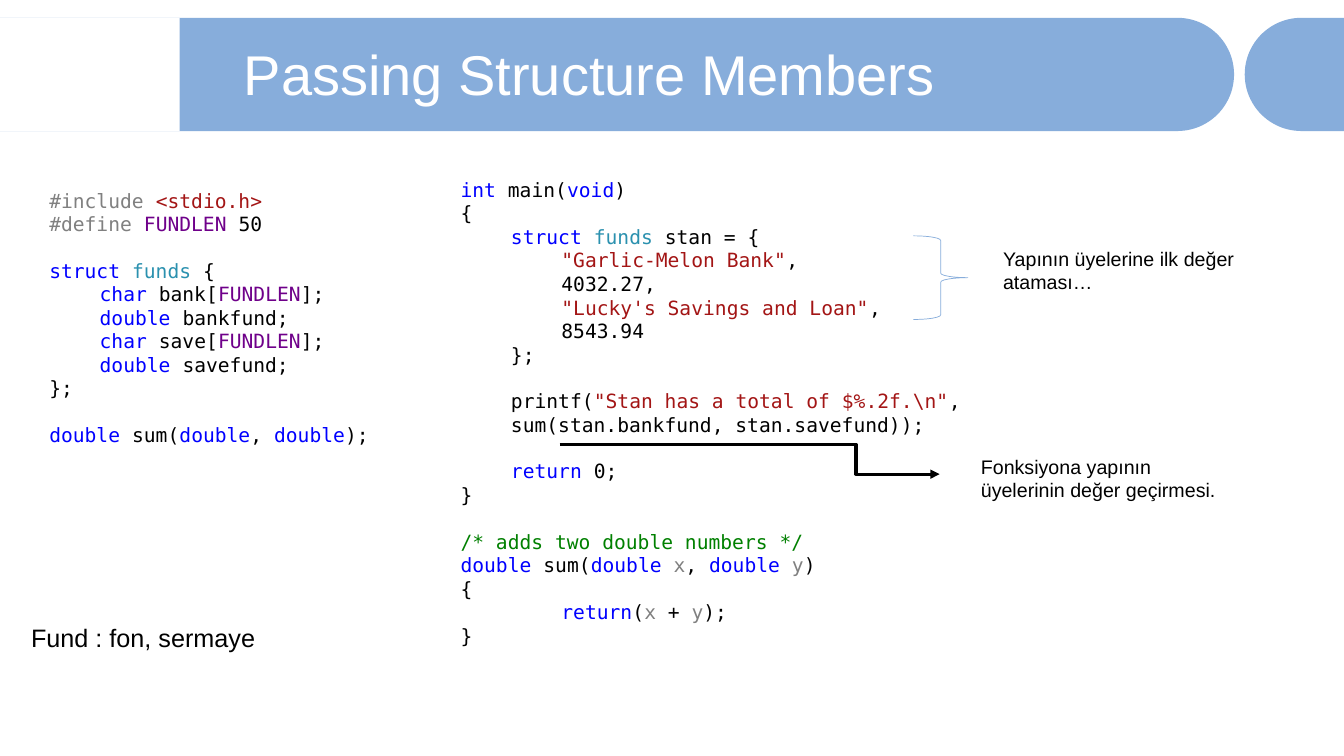
from math import cos, pi, sin

from lxml.etree import SubElement
from pptx import Presentation
from pptx.dml.color import RGBColor
from pptx.enum.shapes import MSO_CONNECTOR as Link, MSO_SHAPE as Preset
from pptx.enum.text import MSO_ANCHOR as Anchor, MSO_AUTO_SIZE as Fit
from pptx.oxml.ns import qn
from pptx.util import Inches, Pt

COLORS = {
    "band": "87ADDB", "white": "FFFFFF", "plain": "000000",
    "keyword": "0000FF", "type": "2B91AF", "string": "A31515",
    "macro": "6F008A", "muted": "808080", "comment": "008000",
}
# One-letter marks used in the code listings
MARKS = {"k": "keyword", "t": "type", "s": "string", "m": "macro",
         "g": "muted", "c": "comment", "p": "plain"}
CELL = Inches(1) / 12  # the slide is a grid of 160 columns by 90 rows


class SlideBuilder:
    sans, mono = "Arial", "DejaVu Sans Mono"
    code_size, code_gap, indent = 14, 16.5, Inches(0.5)

    def __init__(self, deck):
        self.shapes = deck.slides.add_slide(deck.slide_layouts[6]).shapes

    def grid(self, *cells):
        return [round(cell * CELL) for cell in cells]

    def color(self, name):
        return RGBColor.from_string(COLORS[name])

    def paint(self, shape, fill=None, line=None, width=0.5):
        shape.shadow.inherit = False
        if fill:
            shape.fill.solid()
            shape.fill.fore_color.rgb = self.color(fill)
        else:
            shape.fill.background()
        if line:
            shape.line.color.rgb = self.color(line)
            shape.line.width = Pt(width)
        else:
            shape.line.fill.background()

    def preset(self, kind, box, **style):
        self.paint(self.shapes.add_shape(kind, *self.grid(*box)), **style)

    def band(self, flat, tip, top, height, steps=48):
        """Bar with a straight end at flat and a half-round end at tip."""
        radius = height / 2
        side = 1 if tip > flat else -1
        center = tip - side * radius
        angles = [pi * step / steps - pi / 2 for step in range(steps + 1)]
        outline = [(center + side * radius * cos(a), top + radius + radius * sin(a))
                   for a in angles] + [(flat, top + height)]
        builder = self.shapes.build_freeform(*self.grid(flat, top))
        builder.add_line_segments([self.grid(*point) for point in outline], close=True)
        self.paint(builder.convert_to_shape(), fill="band")

    def frame(self, box, wrap=True, fit=Fit.SHAPE_TO_FIT_TEXT):
        frame = self.shapes.add_textbox(*self.grid(*box)).text_frame
        frame.word_wrap = wrap
        frame.auto_size = fit
        return frame

    def style(self, run, size, color, font):
        run.font.size = Pt(size)
        run.font.name = font
        run.font.color.rgb = self.color(color)

    def text(self, box, words, size, color="plain", **frame_style):
        frame = self.frame(box, **frame_style)
        frame.text = words
        self.style(frame.paragraphs[0].runs[0], size, color, self.sans)
        return frame

    def code(self, box, stanzas, top_rows=0.6):
        """Stanzas of (level, markup) lines, one line's gap between stanzas."""
        frame = self.frame(box)
        frame.margin_top = self.grid(top_rows)[0]
        line = frame.paragraphs[0]
        for number, stanza in enumerate(stanzas):
            for row, (level, markup) in enumerate(stanza):
                if number or row:
                    line = frame.add_paragraph()
                if number and not row:
                    line.space_before = Pt(self.code_gap)
                if level:
                    line.level = level
                    line._p.get_or_add_pPr().set("marL", str(level * self.indent))
                for token in markup.split("|"):
                    mark, _, words = token.partition(":")
                    run = line.add_run()
                    run.text = words
                    self.style(run, self.code_size, MARKS[mark], self.mono)

    def elbow_arrow(self, start, end, bend, width):
        arrow = self.shapes.add_connector(Link.ELBOW, *self.grid(*start, *end))
        arrow.line.color.rgb = self.color("plain")
        arrow.line.width = Pt(width)
        SubElement(arrow.line._get_or_add_ln(), qn("a:tailEnd"), type="triangle")
        properties = arrow._element.spPr
        geometry = properties.find(qn("a:prstGeom"))
        guides = geometry.find(qn("a:avLst"))
        if guides is None:
            guides = SubElement(geometry, qn("a:avLst"))
        SubElement(guides, qn("a:gd"), name="adj1", fmla=f"val {round(bend * 100000)}")
        SubElement(properties, qn("a:effectLst"))


DECLARATIONS = [
    [(0, "g:#include |s:<stdio.h>"),
     (0, "g:#define |m:FUNDLEN|p: 50")],
    [(0, "k:struct |t:funds|p: {"),
     (1, "k:char|p: bank[|m:FUNDLEN|p:];"),
     (1, "k:double |p:bankfund;"),
     (1, "k:char |p:save[|m:FUNDLEN|p:];"),
     (1, "k:double |p:savefund;"),
     (0, "p:};")],
    [(0, "k:double |p:sum(|k:double|p:, |k:double|p:);")],
]
PROGRAM = [
    [(0, "k:int|p: main(|k:void|p:)"),
     (0, "p:{"),
     (1, "k:struct |t:funds |p:stan = {"),
     (2, 's:"Garlic-Melon Bank"|p:,'),
     (2, "p:4032.27,"),
     (2, 's:"Lucky\'s Savings and Loan"|p:,'),
     (2, "p:8543.94"),
     (1, "p:};")],
    [(1, 'p:printf(|s:"Stan has a total of $%.2f.\\n"|p:,'),
     (1, "p:sum(stan.bankfund, stan.savefund));")],
    [(1, "k:return|p: 0;"),
     (0, "p:}")],
    [(0, "c:/* adds two double numbers */"),
     (0, "k:double |p:sum(|k:double |g:x|p:, |k:double |g:y|p:)"),
     (0, "p:{"),
     (2, "k:return|p:(|g:x|p: + |g:y|p:);"),
     (0, "p:}")],
]


def main():
    deck = Presentation()
    deck.slide_width, deck.slide_height = Inches(13.33), Inches(7.5)
    slide = SlideBuilder(deck)

    # Header bands with a plain block at the left
    band_top, band_height = 2.12, 13.48
    slide.band(0, 146.88, band_top, band_height)
    slide.preset(Preset.RECTANGLE, (0, band_top, 21.4, band_height), fill="white")
    slide.band(159.96, 148.15, band_top, band_height)

    # Title
    title = slide.text((27.84, 4.44, 109.68, 9.48), "Passing Structure Members",
                       40, "white", fit=Fit.NONE)
    title.vertical_anchor = Anchor.MIDDLE
    title.paragraphs[0].line_spacing = 0.9
    title.paragraphs[0].space_before = Pt(10)

    # Code listings
    slide.code((53.64, 17.76, 80.04, 60.6), PROGRAM, top_rows=3.4)
    slide.code((4.68, 21.84, 42.96, 32.28), DECLARATIONS)

    # Remark on the initial values
    slide.preset(Preset.RIGHT_BRACE, (108.72, 28.08, 6.48, 9.96), line="band")
    slide.text((118.2, 28.8, 31.08, 6.84), "Yapının üyelerine ilk değer ataması…", 14)

    # Remark on the call
    slide.elbow_arrow((66.6, 52.9), (111.84, 56.45), bend=0.78, width=2.25)
    slide.text((115.56, 53.52, 31.08, 6.84),
               "Fonksiyona yapının üyelerinin değer geçirmesi.", 14)

    # Glossary
    slide.text((2.52, 73.44, 29.4, 4.8), "Fund : fon, sermaye", 18, wrap=False)

    deck.save("out.pptx")


if __name__ == "__main__":
    main()
